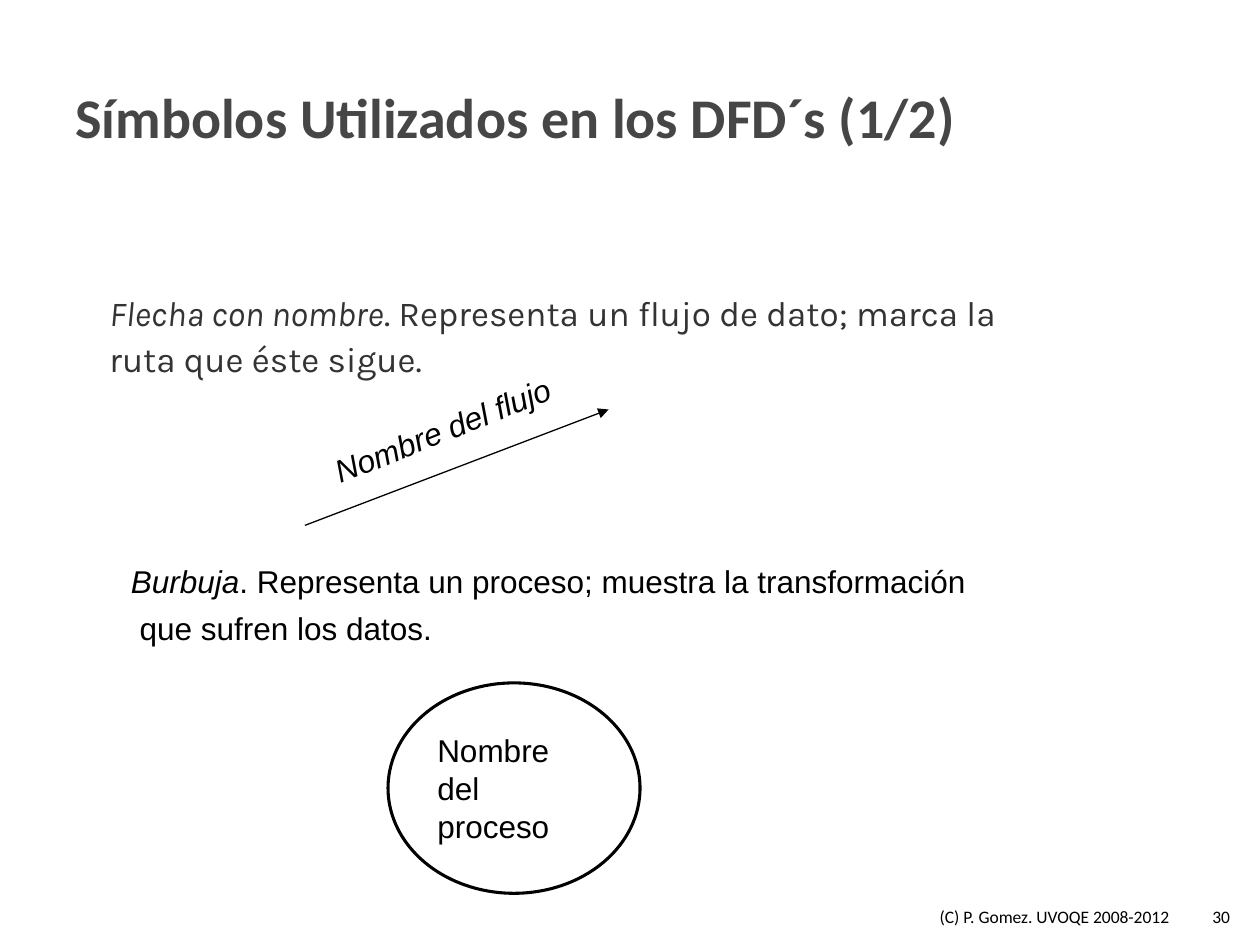
from lxml import etree
from pptx import Presentation
from pptx.dml.color import RGBColor
from pptx.enum.shapes import MSO_CONNECTOR as Line, MSO_SHAPE as Shape
from pptx.enum.text import MSO_ANCHOR as Anchor, PP_ALIGN as Align
from pptx.oxml.ns import qn
from pptx.util import Inches, Pt

BLACK = "000000"
ARIAL = {"name": "Arial", "size": Pt(18)}
ITALIC = {**ARIAL, "italic": True}
CALIBRI = {"name": "Calibri", "size": Pt(10)}
KARLA = {"name": "Karla", "size": Pt(20)}
TITLE = {"name": "Calibri", "size": Pt(32), "bold": True}
LOOSE = {"line_spacing": 1.1, "space_before": Pt(3)}


def paint(color, hue):
    color.rgb = RGBColor.from_string(hue)


def style(item, values):
    for name, value in values.items():
        setattr(item, name, value)


def write(frame, lines, hue=BLACK, para=None):
    """Fill a text frame; each line is a list of (text, font values)."""
    for n, line in enumerate(lines):
        p = frame.paragraphs[0] if n == 0 else frame.add_paragraph()
        style(p, {"alignment": Align.LEFT, **(para or {})})
        for text, font in line:
            run = p.add_run()
            run.text = text
            style(run.font, font)
            paint(run.font.color, hue)


def add_text(slide, box, lines, hue=BLACK, para=None, anchor=Anchor.TOP, wrap=True):
    label = slide.shapes.add_textbox(*map(Inches, box))
    style(label.text_frame, {"word_wrap": wrap, "vertical_anchor": anchor})
    write(label.text_frame, lines, hue, para)
    return label


def add_title(slide, box):
    add_text(slide, box, [[("Símbolos Utilizados en los DFD´s (1/2)", TITLE)]],
             "464646", anchor=Anchor.MIDDLE)


def add_arrow(slide, start, end):
    arrow = slide.shapes.add_connector(Line.STRAIGHT, *map(Inches, (*start, *end)))
    arrow.line.width = Pt(0.75)
    paint(arrow.line.color, BLACK)
    etree.SubElement(arrow.line._get_or_add_ln(), qn("a:tailEnd"), type="triangle")
    etree.SubElement(arrow._element.spPr, qn("a:effectLst"))


def add_flow(slide, x, y):
    """Explain the arrow symbol and draw it with its tilted name."""
    add_text(slide, (x, y, 7.5, 0.9), [[
        ("Flecha con nombre", {**KARLA, "italic": True}),
        (". Representa un flujo de dato; marca la ruta que éste sigue.", KARLA),
    ]], "333333", LOOSE)
    add_arrow(slide, (x + 1.65, y + 1.94), (x + 4.06, y + 1.02))
    name = add_text(slide, (x + 1.73, y + 0.97, 2.07, 0.4),
                    [[("Nombre del flujo", ITALIC)]])
    name.rotation = 338.1


def add_process(slide, x, y):
    """Explain the bubble symbol and draw it."""
    add_text(slide, (x, y, 6.83, 1.11), [
        [("Burbuja", ITALIC),
         (". Representa un proceso; muestra la transformación", ARIAL)],
        [(" que sufren los datos.", ARIAL)],
    ], para=LOOSE, wrap=False)
    bubble = slide.shapes.add_shape(
        Shape.OVAL, *map(Inches, (x + 2.14, y + 1.04, 2, 1.67)))
    bubble.shadow.inherit = False
    bubble.fill.solid()
    paint(bubble.fill.fore_color, "FFFFFF")
    paint(bubble.line.color, BLACK)
    bubble.line.width = Pt(1.75)
    style(bubble.text_frame, {"word_wrap": False, "vertical_anchor": Anchor.MIDDLE})
    write(bubble.text_frame,
          [[(word, ARIAL)] for word in ("Nombre", "del", "proceso")])


def add_footer(slide, x, y):
    parts = (
        (0, 2.1, "(C) P. Gomez. UVOQE 2008-2012", Align.LEFT),
        (2.1, 0.4, "30", Align.RIGHT),
    )
    for dx, width, text, align in parts:
        add_text(slide, (x + dx, y, width, 0.4), [[(text, CALIBRI)]],
                 para={"alignment": align}, anchor=Anchor.BOTTOM)


def main():
    deck = Presentation()
    style(deck, {"slide_width": Inches(10), "slide_height": Inches(7.5)})
    slide = deck.slides.add_slide(deck.slide_layouts[6])
    add_title(slide, (0.5, 0.3, 9, 1.25))
    add_flow(slide, 0.77, 2.23)
    add_process(slide, 0.94, 4.38)
    add_footer(slide, 7.36, 7.01)
    deck.save("out.pptx")


if __name__ == "__main__":
    main()
